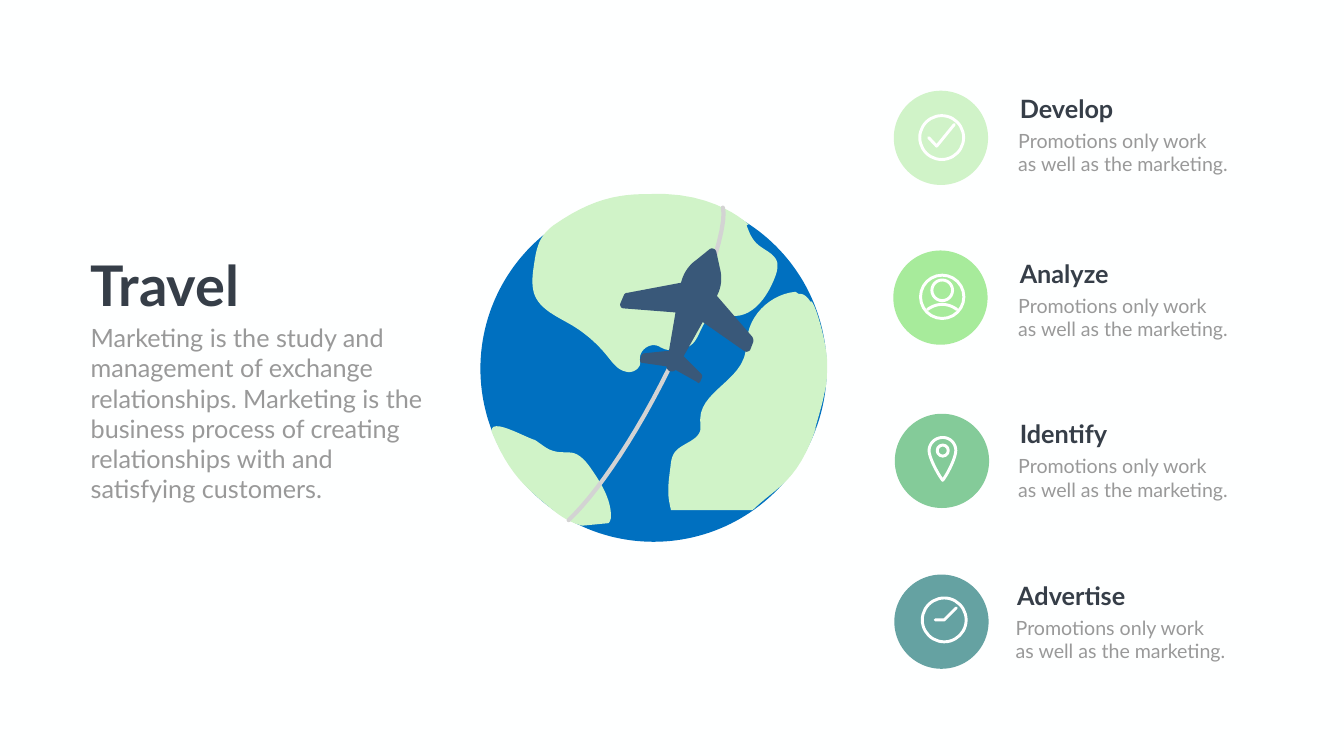
from lxml.etree import SubElement
from pptx import Presentation
from pptx.dml.color import RGBColor
from pptx.enum.shapes import MSO_SHAPE
from pptx.enum.text import MSO_AUTO_SIZE
from pptx.util import Inches, Pt

THEME = {
    "font": "Lato",
    "background": "FEFFFF", "ocean": "0070C0", "land": "D0F3C8",
    "route": "D3D3D3", "plane": "395879", "icon": "FFFFFF",
    "heading": "363E48", "body": "999999",
    "title_size": 80, "text_size": 36, "detail_size": 28,
    "route_width": 6, "icon_width": 4.2,
}

TITLE = "Travel"
SUMMARY = ("Marketing is the study and management of exchange relationships. "
           "Marketing is the business process of creating relationships with "
           "and satisfying customers.")
DETAIL = ["Promotions only work", "as well as the marketing."]

# Outlines in inches: a pair is a straight step, six numbers are a cubic curve
EAST_LAND = [
    (16.2, 8.46), (15.81, 9.59, 15.41, 9.65, 14.93, 10.12), (13.31, 10.12),
    (13.3, 10.08, 13.29, 10.03, 13.28, 9.98), (13.23, 9.74, 13.27, 9.5, 13.3, 9.26),
    (13.31, 9.17, 13.32, 9.07, 13.38, 8.98), (13.51, 8.8, 13.82, 8.76, 13.89, 8.55),
    (13.9, 8.47, 13.89, 8.39, 13.89, 8.32), (13.89, 7.82, 14.57, 7.59, 14.75, 7.12),
    (14.81, 6.96, 14.81, 6.77, 14.84, 6.6), (14.94, 6.17, 15.34, 5.83, 15.78, 5.79),
    (15.84, 5.83), (15.95, 5.82, 16.02, 5.9, 16.08, 5.99),
    (16.12, 5.86, 16.42, 6.79, 16.41, 7.25), (16.4, 7.6, 16.4, 7.6, 16.35, 7.82),
    (16.31, 8.04, 16.18, 8.45, 16.15, 8.58),
]
NORTH_LAND = [
    (14.81, 4.47), (14.86, 4.61, 14.91, 4.74, 15.02, 4.84),
    (15.16, 4.97, 15.38, 5.03, 15.42, 5.22), (15.43, 5.31, 15.41, 5.4, 15.38, 5.48),
    (15.24, 5.86, 14.96, 6.27, 14.57, 6.27), (14.42, 6.27, 14.27, 6.22, 14.13, 6.27),
    (13.92, 6.36, 13.9, 6.65, 13.75, 6.81), (13.61, 6.95, 13.37, 6.98, 13.19, 6.93),
    (13.15, 6.91, 13.11, 6.9, 13.07, 6.87), (12.89, 6.79, 12.68, 6.94, 12.69, 7.14),
    (12.75, 7.28, 12.56, 7.43, 12.4, 7.37), (12.24, 7.33, 12.15, 7.19, 12.05, 7.07),
    (11.85, 6.82, 11.61, 6.61, 11.34, 6.45), (11.05, 6.28, 10.71, 6.14, 10.6, 5.84),
    (10.54, 5.66, 10.56, 5.47, 10.59, 5.27), (10.62, 5.07, 10.65, 4.85, 10.77, 4.68),
    (10.83, 4.6, 10.9, 4.53, 10.98, 4.47), (11.74, 3.94, 12.27, 3.85, 12.86, 3.85),
    (14.22, 3.78, 14.86, 4.48, 14.85, 4.45),
]
SOUTH_LAND = [
    (11.55, 10.43), (11.34, 10.38, 11.14, 10.26, 10.97, 10.12),
    (10.45, 9.7, 10.09, 9.4, 9.75, 8.56), (9.73, 8.27, 10.4, 8.67, 10.61, 8.73),
    (10.74, 8.81, 10.85, 8.92, 10.99, 8.95), (11.12, 8.99, 11.26, 8.96, 11.38, 8.99),
    (11.54, 9.04, 11.65, 9.19, 11.74, 9.32), (11.94, 9.61, 12.13, 9.93, 12.12, 10.27),
    (12.11, 10.31, 12.1, 10.35, 12.07, 10.38),
]
ROUTE = [(11.28, 10.32), (11.79, 9.84, 12.48, 8.85, 13.1, 7.65),
         (13.98, 5.97, 14.44, 4.46, 14.34, 4.12)]
PLANE = [
    (13.85, 7.6), (13.83, 7.58), (13.4, 7.34), (13.38, 7.36, 13.36, 7.37, 13.33, 7.37),
    (13.29, 7.37), (13.25, 7.35, 13.23, 7.32, 13.22, 7.27), (12.74, 7.2),
    (12.72, 7.2, 12.71, 7.19, 12.7, 7.17), (12.7, 7.13), (12.72, 7.06),
    (12.73, 7.04, 12.75, 7.01, 12.78, 7.01), (13.27, 6.96), (13.4, 6.2), (12.38, 6.12),
    (12.34, 6.12, 12.32, 6.1, 12.31, 6.08), (12.3, 6.06, 12.3, 6.03, 12.31, 6.01),
    (12.37, 5.87), (12.38, 5.83, 12.41, 5.81, 12.45, 5.81), (13.51, 5.61),
    (13.55, 5.44, 13.65, 5.27, 13.81, 5.16), (14.07, 4.95),
    (14.08, 4.94, 14.1, 4.93, 14.12, 4.93), (14.17, 4.93, 14.2, 4.96, 14.21, 5),
    (14.28, 5.32), (14.33, 5.51, 14.31, 5.71, 14.22, 5.87), (14.92, 6.68),
    (14.94, 6.71, 14.95, 6.75, 14.94, 6.79), (14.89, 6.92),
    (14.88, 6.96, 14.84, 6.98, 14.8, 6.98), (14.77, 6.97), (13.94, 6.39),
    (13.56, 7.07), (13.91, 7.42), (13.93, 7.44, 13.93, 7.46, 13.93, 7.48),
    (13.9, 7.55), (13.89, 7.58, 13.87, 7.6, 13.85, 7.6),
]
CHECK = [(18.42, 2.73), (18.58, 2.9), (18.93, 2.47)]
SHOULDERS = [(18.4, 6.14), (18.48, 6.08, 18.58, 6.04, 18.69, 6.04),
             (18.8, 6.04, 18.9, 6.08, 18.98, 6.14)]
PIN = [(18.7, 9.53), (18.6, 9.4, 18.43, 9.08, 18.43, 8.94),
       (18.43, 8.8, 18.55, 8.68, 18.7, 8.68), (18.85, 8.68, 18.96, 8.8, 18.96, 8.94),
       (18.96, 9.08, 18.8, 9.4, 18.7, 9.53)]
CLOCK_HANDS = [(18.55, 12.3), (18.73, 12.3), (18.97, 12.06)]

# Name, disc colour, disc corner, label corner, icon rings (centre, diameter), icon stroke
STEPS = [
    ("Develop", "D0F3C8", (17.73, 1.8), (20.13, 1.8), [(18.68, 2.73, 0.87)], CHECK),
    ("Analyze", "A7EB9B", (17.72, 4.97), (20.13, 5.08),
     [(18.69, 5.89, 0.86), (18.69, 5.76, 0.41)], SHOULDERS),
    ("Identify", "84CB99", (17.75, 8.21), (20.13, 8.26), [(18.7, 8.94, 0.22)], PIN),
    ("Advertise", "65A2A2", (17.74, 11.4), (20.08, 11.47), [(18.73, 12.3, 0.87)], CLOCK_HANDS),
]
DISC = 1.87
CURVE_STEPS = 12


def paint(shape, fill=None, line=None, width=0):
    shape.shadow.inherit = False
    if fill:
        shape.fill.solid()
        shape.fill.fore_color.rgb = RGBColor.from_string(fill)
    else:
        shape.fill.background()
    if line:
        shape.line.color.rgb = RGBColor.from_string(line)
        shape.line.width = Pt(width)
    else:
        shape.line.fill.background()


def trace(outline):
    """Turn straight steps and cubic curves into a list of points."""
    points = [outline[0]]
    for step in outline[1:]:
        if len(step) == 2:
            points.append(step)
            continue
        x0, y0 = points[-1]
        x1, y1, x2, y2, x3, y3 = step
        for index in range(1, CURVE_STEPS + 1):
            t = index / CURVE_STEPS
            a, b, c, d = (1 - t) ** 3, 3 * t * (1 - t) ** 2, 3 * t * t * (1 - t), t ** 3
            points.append((a * x0 + b * x1 + c * x2 + d * x3,
                           a * y0 + b * y1 + c * y2 + d * y3))
    return [(Inches(x), Inches(y)) for x, y in points]


def add_outline(slide, outline, **style):
    start, *rest = trace(outline)
    builder = slide.shapes.build_freeform(*start)
    builder.add_line_segments(rest, close="fill" in style)
    shape = builder.convert_to_shape()
    paint(shape, **style)
    if "line" in style:
        line = shape.line._get_or_add_ln()
        line.set("cap", "rnd")
        SubElement(line, line.tag.replace("}ln", "}round"))


def add_circle(slide, left, top, diameter, **style):
    shape = slide.shapes.add_shape(MSO_SHAPE.OVAL, Inches(left), Inches(top),
                                   Inches(diameter), Inches(diameter))
    paint(shape, **style)


def add_text(slide, box, lines, size, color, bold=False, wrap=True):
    frame = slide.shapes.add_textbox(*map(Inches, box)).text_frame
    frame.word_wrap = wrap
    frame.auto_size = MSO_AUTO_SIZE.SHAPE_TO_FIT_TEXT
    frame.text = "\n".join(lines)
    for paragraph in frame.paragraphs:
        font = paragraph.font
        font.name, font.size, font.bold = THEME["font"], Pt(size), bold
        font.color.rgb = RGBColor.from_string(color)


def main():
    presentation = Presentation()
    presentation.slide_width, presentation.slide_height = Inches(26.66), Inches(15)
    slide = presentation.slides.add_slide(presentation.slide_layouts[6])
    slide.background.fill.solid()
    slide.background.fill.fore_color.rgb = RGBColor.from_string(THEME["background"])

    # Globe with the flight
    add_circle(slide, 9.53, 3.88, 6.87, fill=THEME["ocean"])
    for land in (EAST_LAND, NORTH_LAND, SOUTH_LAND):
        add_outline(slide, land, fill=THEME["land"])
    add_outline(slide, ROUTE, line=THEME["route"], width=THEME["route_width"])
    add_outline(slide, PLANE, fill=THEME["plane"])

    # Title and summary
    add_text(slide, (1.7, 4.92, 3.36, 1.45), [TITLE], THEME["title_size"],
             THEME["heading"], bold=True, wrap=False)
    add_text(slide, (1.7, 6.35, 6.86, 3.74), [SUMMARY], THEME["text_size"], THEME["body"])

    # Steps: disc, icon, label
    icon_line = {"line": THEME["icon"], "width": THEME["icon_width"]}
    for name, color, disc, (left, top), rings, stroke in STEPS:
        add_circle(slide, *disc, DISC, fill=color)
        for x, y, diameter in rings:
            add_circle(slide, x - diameter / 2, y - diameter / 2, diameter, **icon_line)
        add_outline(slide, stroke, **icon_line)
        add_text(slide, (left, top, 2.61, 0.71), [name], THEME["text_size"],
                 THEME["heading"], bold=True)
        add_text(slide, (left - 0.03, top + 0.7, 4.94, 1.04), DETAIL,
                 THEME["detail_size"], THEME["body"])

    presentation.save("out.pptx")


if __name__ == "__main__":
    main()
